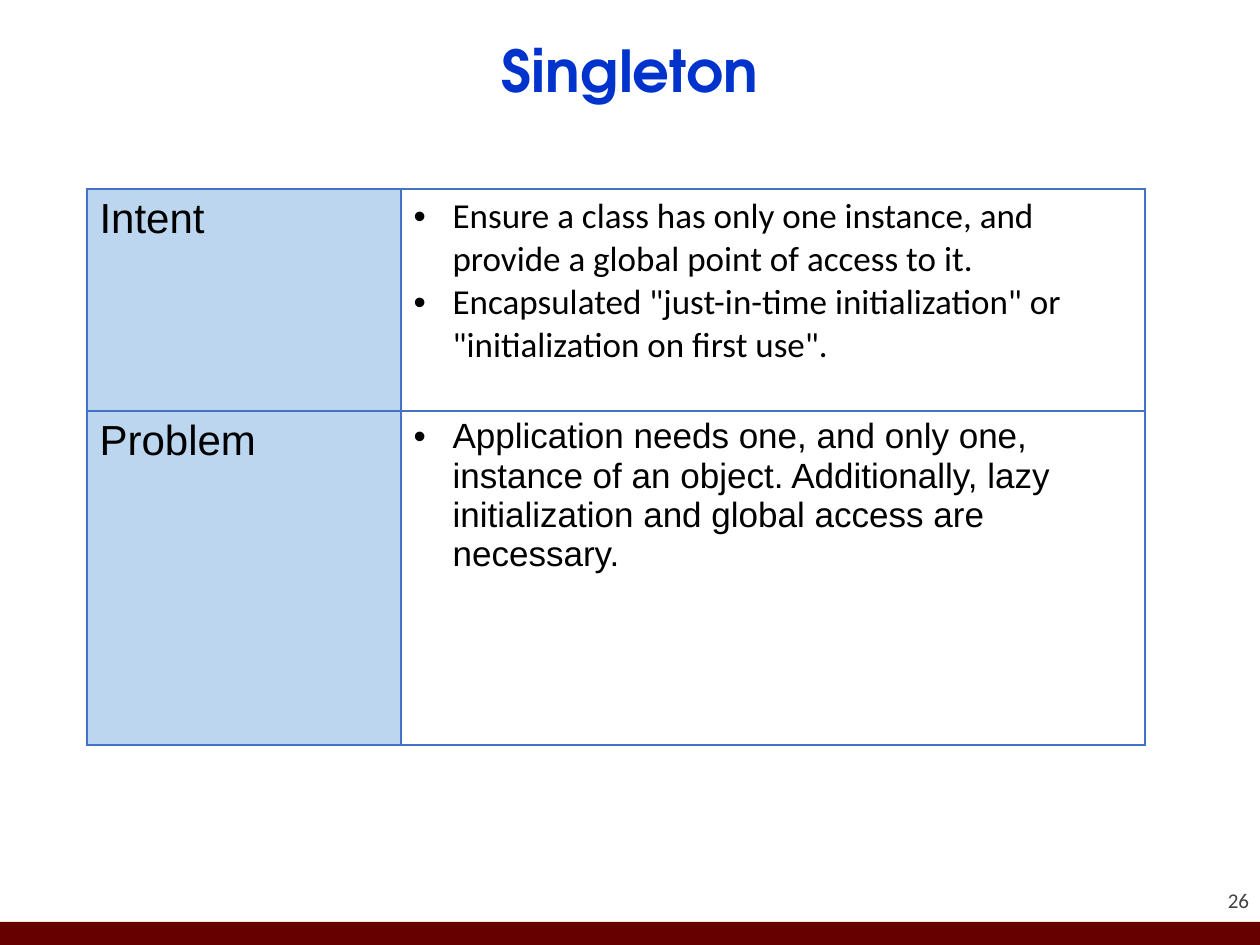
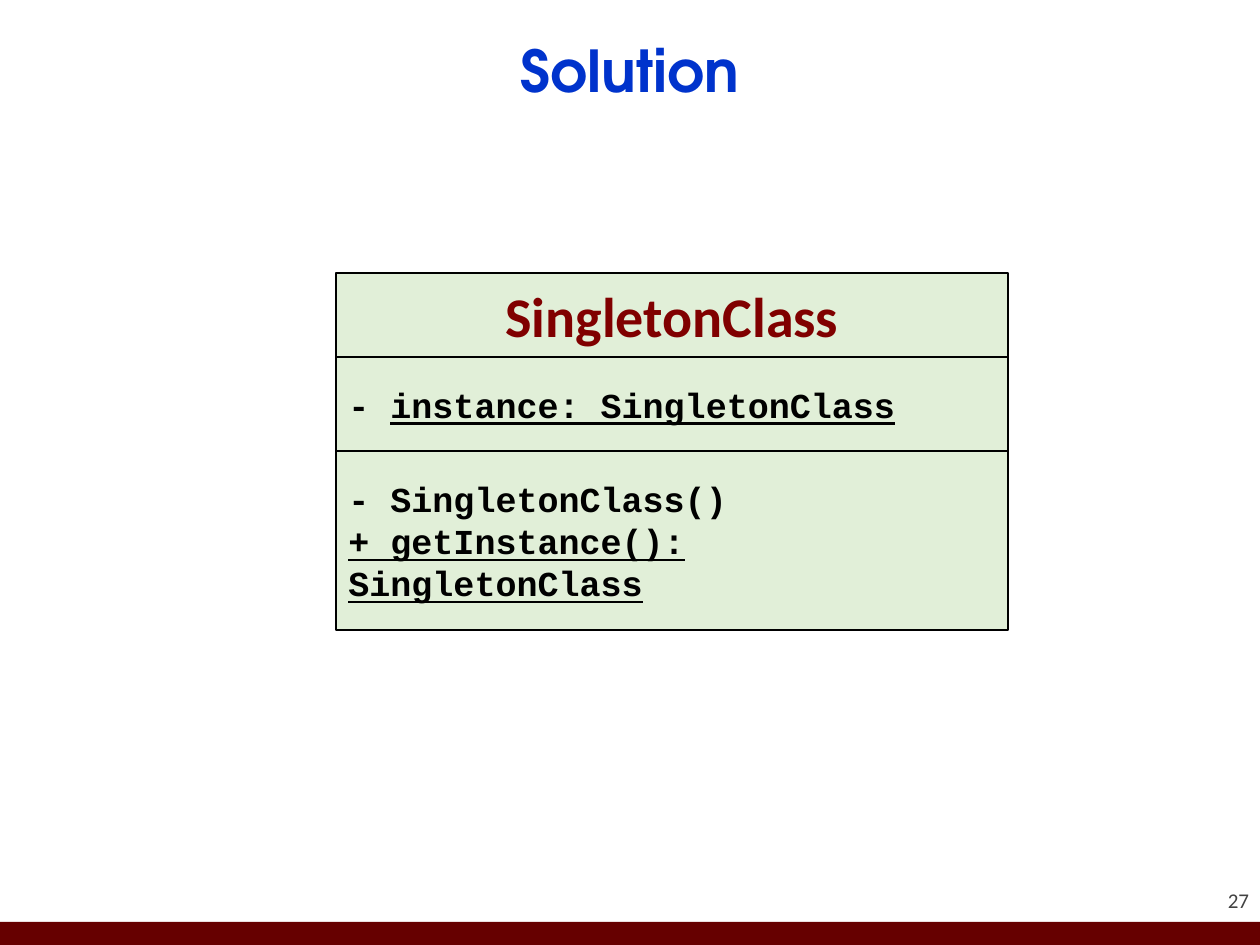
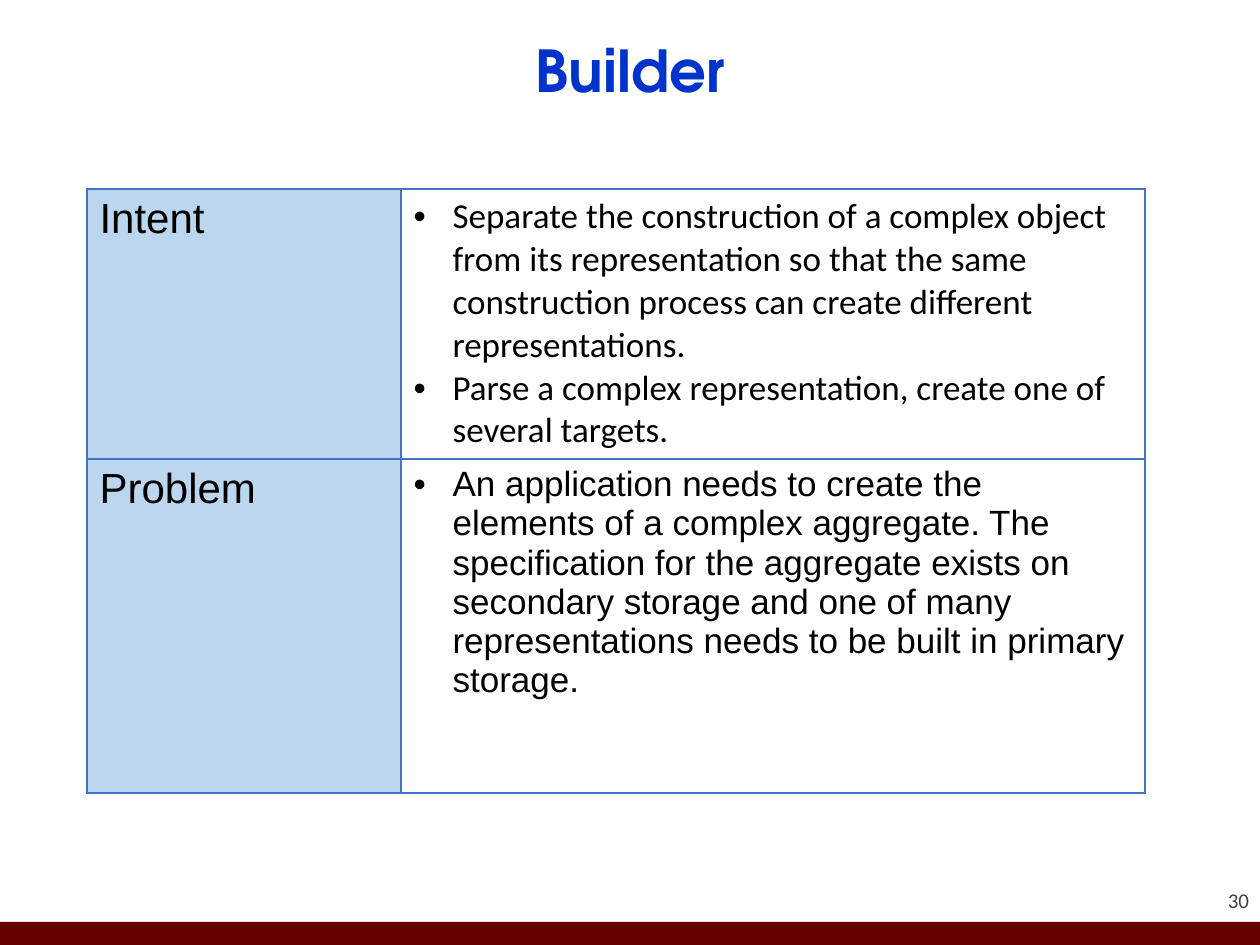
from lxml import etree
from pptx import Presentation
from pptx import util as u
from pptx.dml.color import RGBColor
from pptx.enum import shapes, text
from pptx.oxml import ns

PX = 914400 / 126
TITLE_FONT = "TeX Gyre Adventor"
BODY_FONT = "Calibri"
TABLE_FONT = "Arial"
CODE_FONT = "Courier New"
BLUE = RGBColor(0x00, 0x33, 0xCC)
MAROON = RGBColor(0x66, 0x00, 0x00)
CLASS_RED = RGBColor(0x80, 0x00, 0x00)
GREY = RGBColor(0x42, 0x42, 0x42)
BLACK = RGBColor(0x00, 0x00, 0x00)
WHITE = RGBColor(0xFF, 0xFF, 0xFF)
LABEL_FILL = RGBColor(0xBB, 0xD6, 0xEE)
BORDER = RGBColor(0x44, 0x72, 0xC4)
CLASS_FILL = RGBColor(0xE1, 0xEF, 0xD8)


def px(n):
    return u.Emu(round(n * PX))


def box(*lengths):
    return [px(n) for n in lengths]


def set_font(p, name, size, color, bold=False):
    p.font.name = name
    p.font.size = u.Pt(size)
    p.font.color.rgb = color
    p.font.bold = bold


def sub(parent, tag, **attrs):
    return etree.SubElement(parent, ns.qn(tag), attrs)


def add_bullet(p):
    pPr = p._p.get_or_add_pPr()
    pPr.set("marL", str(px(39)))
    pPr.set("indent", str(-px(39)))
    sub(sub(pPr, "a:buClr"), "a:srgbClr", val=str(BLACK))
    sub(pPr, "a:buFont", typeface="Arial")
    sub(pPr, "a:buChar", char="•")


def add_slide(prs, title, number):
    s = prs.slides.add_slide(prs.slide_layouts[5])
    band = s.shapes.add_shape(shapes.MSO_SHAPE.RECTANGLE, *box(0, 922, 1260, 23))
    band.shadow.inherit = False
    band.fill.solid()
    band.fill.fore_color.rgb = MAROON
    band.line.fill.background()

    tf = s.shapes.add_textbox(*box(1144, 863, 105, 50)).text_frame
    tf.word_wrap = True
    tf.margin_left = tf.margin_right = tf.margin_top = tf.margin_bottom = 0
    tf.vertical_anchor = text.MSO_ANCHOR.BOTTOM
    p = tf.paragraphs[0]
    p.text = str(number)
    p.alignment = text.PP_ALIGN.RIGHT
    set_font(p, BODY_FONT, 12, GREY)

    sp = s.shapes.title
    sp.left, sp.top, sp.width, sp.height = box(87, 15, 1086, 118)
    tf = sp.text_frame
    tf.auto_size = text.MSO_AUTO_SIZE.NONE
    tf.vertical_anchor = text.MSO_ANCHOR.MIDDLE
    p = tf.paragraphs[0]
    p.text = title
    p.alignment = text.PP_ALIGN.CENTER
    p.line_spacing = 0.9
    set_font(p, TITLE_FONT, 33, BLUE, True)
    return s


def style_cell(cell, color):
    tcPr = cell._tc.get_or_add_tcPr()
    for side in "LRTB":
        ln = sub(tcPr, f"a:ln{side}", w=str(u.Pt(1)))
        sub(sub(ln, "a:solidFill"), "a:srgbClr", val=str(BORDER))
    cell.fill.solid()
    cell.fill.fore_color.rgb = color


def add_pattern_table(s, intent_height, intents, problem):
    heights = [intent_height, 334]
    widths = [314, 744]
    table = s.shapes.add_table(2, 2, *box(87, 189, sum(widths), sum(heights))).table
    table.first_row = table.horz_banding = False
    for column, width in zip(table.columns, widths):
        column.width = px(width)
    rows = [("Intent", intents, BODY_FONT), ("Problem", [problem], TABLE_FONT)]
    for i, (label, points, font) in enumerate(rows):
        table.rows[i].height = px(heights[i])
        name, detail = table.cell(i, 0), table.cell(i, 1)
        style_cell(name, LABEL_FILL)
        style_cell(detail, WHITE)
        name.text = label
        set_font(name.text_frame.paragraphs[0], TABLE_FONT, 24, BLACK)
        detail.text = "\n".join(points)
        for p in detail.text_frame.paragraphs:
            add_bullet(p)
            set_font(p, font, 20, BLACK)


def add_compartment(s, top, height):
    sp = s.shapes.add_shape(shapes.MSO_SHAPE.FLOWCHART_PROCESS, *box(336, top, 672, height))
    sp.shadow.inherit = False
    sp.fill.solid()
    sp.fill.fore_color.rgb = CLASS_FILL
    sp.line.color.rgb = BLACK
    sp.line.width = u.Pt(1.5)
    tf = sp.text_frame
    tf.word_wrap = True
    tf.vertical_anchor = text.MSO_ANCHOR.MIDDLE
    return tf


def add_members(tf, members):
    for i, (plain, underlined) in enumerate(members):
        p = tf.add_paragraph() if i else tf.paragraphs[0]
        p.alignment = text.PP_ALIGN.LEFT
        set_font(p, CODE_FONT, 20, BLACK, True)
        if plain:
            p.add_run().text = plain
        if underlined:
            r = p.add_run()
            r.text = underlined
            r.font.underline = True


def add_class_diagram(s, name, attributes, operations):
    p = add_compartment(s, 273, 84).paragraphs[0]
    p.text = name
    p.alignment = text.PP_ALIGN.CENTER
    set_font(p, BODY_FONT, 32, CLASS_RED, True)
    add_members(add_compartment(s, 357, 94), attributes)
    add_members(add_compartment(s, 451, 179), operations)


def main():
    prs = Presentation()
    prs.slide_width, prs.slide_height = box(1260, 945)

    s = add_slide(prs, "Singleton", 26)
    add_pattern_table(
        s, 222,
        ["Ensure a class has only one instance, and provide a global point of access to it.",
         'Encapsulated "just-in-time initialization" or "initialization on first use".'],
        "Application needs one, and only one, instance of an object. Additionally, "
        "lazy initialization and global access are necessary.")

    s = add_slide(prs, "Solution", 27)
    add_class_diagram(
        s, "SingletonClass",
        [("- ", "instance: SingletonClass")],
        [("- SingletonClass()", ""), ("", "+ getInstance(): SingletonClass")])

    s = add_slide(prs, "Builder", 30)
    add_pattern_table(
        s, 270,
        ["Separate the construction of a complex object from its representation so that "
         "the same construction process can create different representations.",
         "Parse a complex representation, create one of several targets."],
        "An application needs to create the elements of a complex aggregate. The "
        "specification for the aggregate exists on secondary storage and one of many "
        "representations needs to be built in primary storage.")

    prs.save("out.pptx")


if __name__ == "__main__":
    main()
